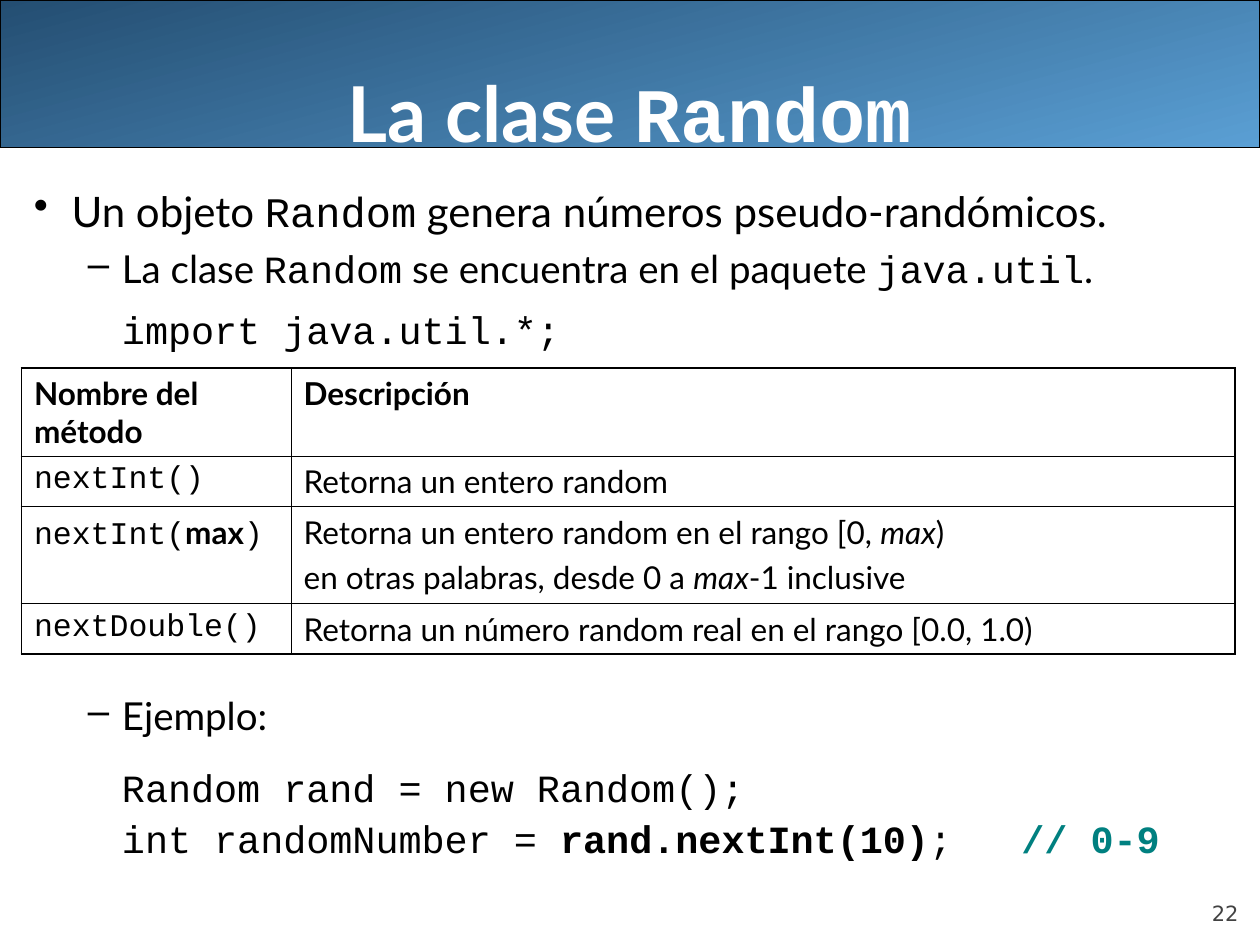
import dataclasses
import typing

import lxml.etree
import pptx
import pptx.dml.color
import pptx.enum.shapes
import pptx.enum.text
import pptx.oxml.ns
import pptx.util

Inches = pptx.util.Inches
Pt = pptx.util.Pt
Rgb = pptx.dml.color.RGBColor
Align = pptx.enum.text.PP_ALIGN
Anchor = pptx.enum.text.MSO_ANCHOR
qn = pptx.oxml.ns.qn


@dataclasses.dataclass(frozen=True)
class Theme:
    sans: str = "Lato"
    mono: str = "Courier New"
    small: str = "DejaVu Sans"
    black: str = "000000"
    white: str = "FFFFFF"
    gray: str = "424242"
    teal: str = "008080"
    light: str = "5A9FD4"
    dark: str = "244E72"
    title: float = 44
    lead: float = 24
    sub: float = 22
    cell: float = 18
    page: float = 12
    thin: float = 0.45
    thick: float = 1.08


@dataclasses.dataclass(frozen=True)
class Run:
    text: str
    face: str
    bold: bool = False
    slant: bool = False
    color: str = Theme.black


@dataclasses.dataclass(frozen=True)
class Para:
    runs: typing.Sequence[Run]
    size: float
    gap: float = 0
    mark: str = ""
    left: float = 0
    hang: float = 0
    level: int = 0
    line: float = 1.0
    align: typing.Any = Align.LEFT


T = Theme()


def sans(text: str, **look) -> Run:
    return Run(text, T.sans, **look)


def mono(text: str, **look) -> Run:
    return Run(text, T.mono, **look)


def apply(thing, values: dict) -> None:
    for name, value in values.items():
        setattr(thing, name, value)


def write(frame, paras: typing.Sequence[Para]) -> None:
    for i, para in enumerate(paras):
        p = frame.add_paragraph() if i else frame.paragraphs[0]
        apply(p, {"alignment": para.align, "space_before": Pt(para.gap),
                  "line_spacing": para.line, "level": para.level})
        props = p._p.get_or_add_pPr()
        props.set("marL", str(Inches(para.left)))
        props.set("indent", str(-Inches(para.hang)))
        if para.mark:
            lxml.etree.SubElement(props, qn("a:buChar")).set("char", para.mark)
        else:
            lxml.etree.SubElement(props, qn("a:buNone"))
        for run in para.runs:
            r = p.add_run()
            r.text = run.text
            apply(r.font, {"name": run.face, "size": Pt(para.size),
                           "bold": run.bold, "italic": run.slant})
            r.font.color.rgb = Rgb.from_string(run.color)


def add_text(slide, box: tuple, paras: typing.Sequence[Para],
             anchor=Anchor.TOP, inset: tuple = (0.1, 0.05, 0.1, 0.05)) -> None:
    frame = slide.shapes.add_textbox(*map(Inches, box)).text_frame
    sides = ("margin_left", "margin_top", "margin_right", "margin_bottom")
    apply(frame, {"word_wrap": True, "vertical_anchor": anchor,
                  **dict(zip(sides, map(Inches, inset)))})
    write(frame, paras)


def add_band(slide) -> None:
    band = slide.shapes.add_shape(pptx.enum.shapes.MSO_SHAPE.RECTANGLE,
                                  0, 0, Inches(10), Inches(1.17))
    band.shadow.inherit = False
    band.fill.gradient()
    band.fill.gradient_angle = 105
    for stop, color in zip(band.fill.gradient_stops, (T.light, T.dark)):
        stop.color.rgb = Rgb.from_string(color)
    band.line.color.rgb = Rgb.from_string(T.black)
    band.line.width = Pt(0.74)


def edge(cell, outer: dict) -> None:
    props = cell._tc.get_or_add_tcPr()
    for i, (side, out) in enumerate(outer.items()):
        line = lxml.etree.Element(qn("a:ln" + side))
        line.set("w", str(Pt(T.thick if out else T.thin)))
        fill = lxml.etree.SubElement(line, qn("a:solidFill"))
        lxml.etree.SubElement(fill, qn("a:srgbClr")).set("val", T.black)
        props.insert(i, line)


def add_grid(slide, place: tuple, wides: tuple, highs: tuple, rows: list) -> None:
    box = (*place, sum(wides), sum(highs))
    table = slide.shapes.add_table(len(highs), len(wides), *map(Inches, box)).table
    apply(table, {"first_row": False, "horz_banding": False})
    for col, wide in zip(table.columns, wides):
        col.width = Inches(wide)
    for y, (high, row) in enumerate(zip(highs, rows)):
        table.rows[y].height = Inches(high)
        for x, lines in enumerate(row):
            cell = table.cell(y, x)
            cell.fill.background()
            write(cell.text_frame, [Para(runs, T.cell, 4.5) for runs in lines])
            edge(cell, {"L": x == 0, "R": x == len(wides) - 1,
                        "T": y == 0, "B": y == len(highs) - 1})


deck = pptx.Presentation()
apply(deck, {"slide_width": Inches(10), "slide_height": Inches(7.5)})
slide = deck.slides.add_slide(deck.slide_layouts[6])

add_band(slide)
add_text(slide, (9, 6.95, 0.83, 0.4),
         [Para([Run("22", T.small, color=T.gray)], T.page, 5, align=Align.RIGHT)],
         Anchor.BOTTOM, (0, 0, 0, 0))
add_text(slide, (0.5, 0, 9, 1.25),
         [Para([sans("La clase ", bold=True, color=T.white),
                mono("Random", bold=True, color=T.white)], T.title, align=Align.CENTER)],
         Anchor.BOTTOM, (0, 0.05, 0, 0))

dash = {"mark": "–", "left": 0.7, "hang": 0.27, "level": 1}
code = {"left": 0.7, "level": 1}
add_text(slide, (0.17, 1.42, 9.83, 5.67), [
    Para([sans("Un objeto "), mono("Random"), sans(" genera números pseudo-randómicos.")],
         T.lead, 6, "•", 0.3, 0.3),
    Para([sans("La clase "), mono("Random"), sans(" se encuentra en el paquete "),
          mono("java.util"), sans(".")], T.sub, 5.5, **dash),
    Para([mono("import java.util.*;")], T.sub, 8.5, **code),
    Para([sans("Ejemplo:")], T.sub, 194, **dash),
    Para([mono("Random rand = new Random();")], T.sub, 20, line=0.8, **code),
    Para([mono("int randomNumber = "), mono("rand.nextInt(10)", bold=True), mono(";   "),
          mono("// 0-9", bold=True, color=T.teal)], T.sub, 8, line=0.8, **code),
])

add_grid(slide, (0.17, 2.92), (2.14, 7.49), (0.7, 0.4, 0.77, 0.4), [
    [[[sans("Nombre del método", bold=True)]], [[sans("Descripción", bold=True)]]],
    [[[mono("nextInt()")]], [[sans("Retorna un entero random")]]],
    [[[mono("nextInt("), sans("max", bold=True), mono(")")]],
     [[sans("Retorna un entero random en el rango [0, "), sans("max", slant=True), sans(")")],
      [sans("en otras palabras, desde 0 a "), sans("max", slant=True), sans("-1 inclusive")]]],
    [[[mono("nextDouble()")]],
     [[sans("Retorna un número random real en el rango [0.0, 1.0)")]]],
])

deck.save("out.pptx")
